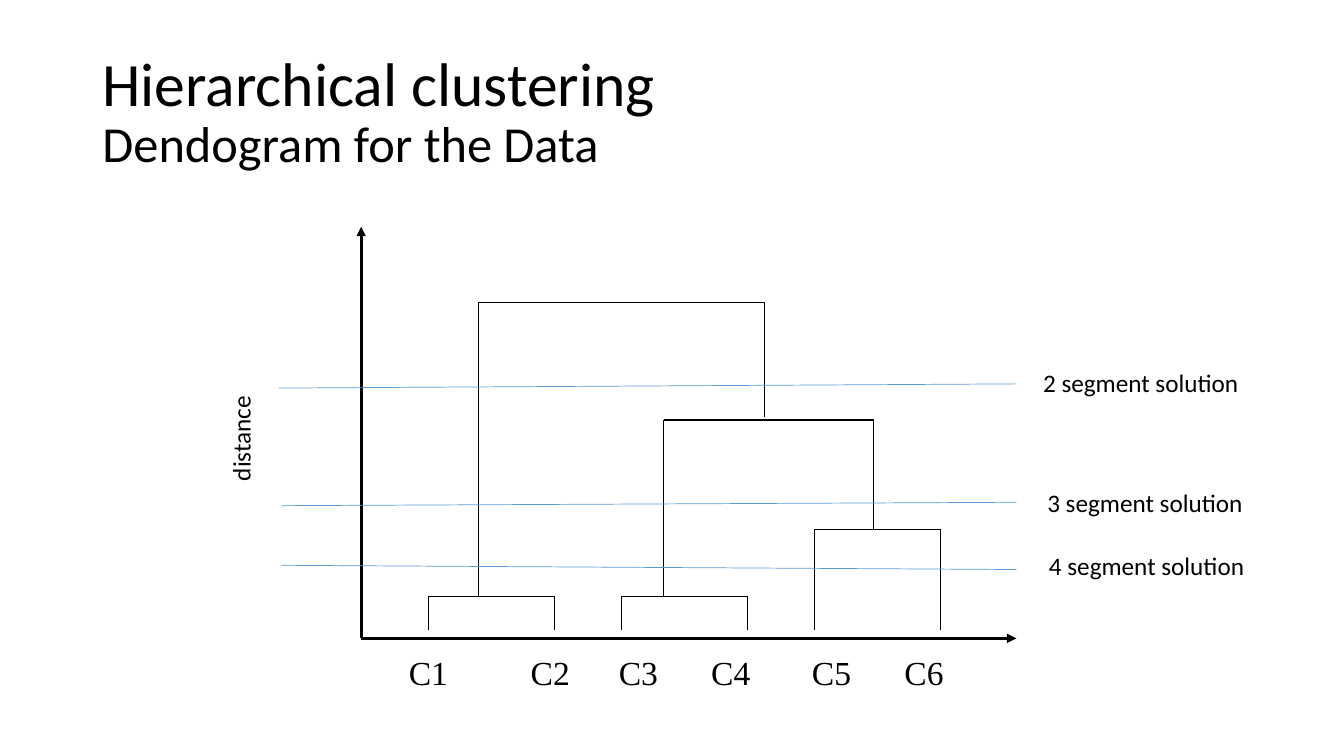
from dataclasses import dataclass

from lxml.etree import SubElement
from pptx import Presentation
from pptx.dml.color import RGBColor
from pptx.enum.shapes import MSO_CONNECTOR
from pptx.enum.text import MSO_ANCHOR, MSO_AUTO_SIZE, PP_ALIGN
from pptx.oxml.ns import qn
from pptx.util import Inches, Pt


@dataclass(frozen=True)
class Theme:
    ink: RGBColor = RGBColor(0x00, 0x00, 0x00)
    cut: RGBColor = RGBColor(0x5B, 0x9B, 0xD5)
    sans: str = "Calibri"
    serif: str = "Times New Roman"
    title: int = 44
    subtitle: int = 36
    cluster: int = 24
    label: int = 18
    axis_width: float = 2.25
    branch_width: float = 0.75
    cut_width: float = 0.5


class DiagramSlide:
    """A title-only slide measured on a grid of 160 columns by 90 rows."""

    def __init__(self, deck, theme):
        self.theme = theme
        self.slide = deck.slides.add_slide(deck.slide_layouts[5])
        self.column = deck.slide_width / 160
        self.row = deck.slide_height / 90

    def place(self, x, y):
        return round(x * self.column), round(y * self.row)

    def add_run(self, paragraph, wording, size, font):
        run = paragraph.add_run()
        run.text = wording
        run.font.size = Pt(size)
        run.font.name = font
        run.font.color.rgb = self.theme.ink

    def title(self, heading, subheading, x, y, width, height):
        title = self.slide.shapes.title
        title.left, title.top = self.place(x, y)
        title.width, title.height = self.place(width, height)
        title.text_frame.vertical_anchor = MSO_ANCHOR.MIDDLE
        paragraph = title.text_frame.paragraphs[0]
        paragraph.alignment = PP_ALIGN.LEFT
        paragraph.line_spacing = 0.9
        self.add_run(paragraph, heading, self.theme.title, self.theme.sans)
        paragraph.add_line_break()
        self.add_run(paragraph, subheading, self.theme.subtitle, self.theme.sans)

    def text(self, wording, x, y, width, height, size, font,
             align=PP_ALIGN.LEFT, wrap=False, rotation=0):
        box = self.slide.shapes.add_textbox(*self.place(x, y), *self.place(width, height))
        box.rotation = rotation
        box.text_frame.word_wrap = wrap
        box.text_frame.auto_size = MSO_AUTO_SIZE.SHAPE_TO_FIT_TEXT
        paragraph = box.text_frame.paragraphs[0]
        paragraph.alignment = align
        self.add_run(paragraph, wording, size, font)

    def line(self, start, end, color, width, arrow=False, shapes=None):
        shapes = self.slide.shapes if shapes is None else shapes
        line = shapes.add_connector(MSO_CONNECTOR.STRAIGHT, *self.place(*start), *self.place(*end))
        line.line.color.rgb = color
        line.line.width = Pt(width)
        if arrow:
            SubElement(line.line._get_or_add_ln(), qn("a:tailEnd"), type="triangle")
        SubElement(line._element.spPr, qn("a:effectLst"))

    def axis(self, start, end):
        self.line(start, end, self.theme.ink, self.theme.axis_width, arrow=True)

    def merge(self, left, right, height, left_foot, right_foot):
        """Join two clusters with a bar and a leg down to each of them."""
        bracket = self.slide.shapes.add_group_shape().shapes
        for start, end in (
            ((left, height), (right, height)),
            ((left, height), (left, left_foot)),
            ((right, height), (right, right_foot)),
        ):
            self.line(start, end, self.theme.ink, self.theme.branch_width, shapes=bracket)


def main():
    deck = Presentation()
    deck.slide_width, deck.slide_height = Inches(40 / 3), Inches(7.5)
    theme = Theme()
    dendrogram = DiagramSlide(deck, theme)
    dendrogram.title("Hierarchical clustering", "Dendogram for the Data", 11, 4.8, 138, 17.4)

    origin = (43, 76)
    axis_end = 121
    dendrogram.axis(origin, (43, 27))
    dendrogram.axis(origin, (axis_end, 76))

    clusters = (47, 8), (61, 9), (72, 8), (83, 8), (95, 8), (106, 8)
    for number, (x, width) in enumerate(clusters, start=1):
        dendrogram.text(f"C{number}", x, 77, width, 6, theme.cluster, theme.serif,
                        align=PP_ALIGN.CENTER, wrap=True)

    leaf, pair, late_pair, trio = 75, 71, 63, 50
    for left, right, height, left_foot, right_foot in (
        (51, 66, pair, leaf, leaf),
        (74, 89, pair, leaf, leaf),
        (97, 112, late_pair, leaf, leaf),
        (79, 104, trio, pair, late_pair),
        (57, 91, 36, pair, trio - 0.3),
    ):
        dendrogram.merge(left, right, height, left_foot, right_foot)

    for segments, cut_start, cut_end_y, label_x, label_y in (
        (2, (33.2, 46.2), 45.7, 123, 43.1),
        (3, (33.5, 60.2), 59.8, 123.5, 57.4),
        (4, (33.5, 67.3), 67.8, 123.7, 64.9),
    ):
        dendrogram.line(cut_start, (axis_end, cut_end_y), theme.cut, theme.cut_width)
        dendrogram.text(f"{segments} segment solution", label_x, label_y, 25.9, 4.8,
                        theme.label, theme.sans)

    dendrogram.text("distance", 22.3, 49.7, 12.7, 4.8, theme.label, theme.sans, rotation=270)
    deck.save("out.pptx")


if __name__ == "__main__":
    main()
